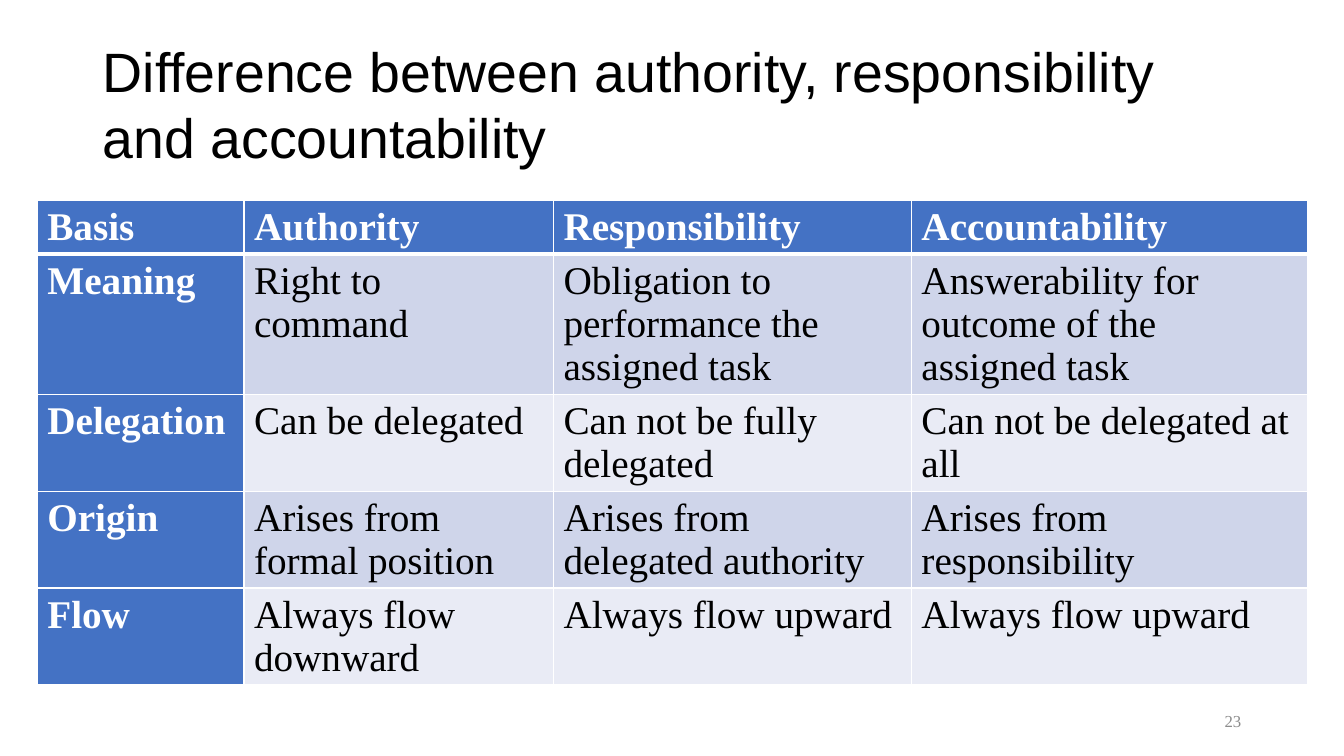
from lxml import etree
from pptx import Presentation
from pptx.dml.color import RGBColor
from pptx.enum.text import MSO_ANCHOR, MSO_AUTO_SIZE, PP_ALIGN
from pptx.oxml.ns import qn
from pptx.util import Inches, Pt

COLORS = {
    "header": "4472C4",
    "odd": "CFD5EA",
    "even": "E9EBF5",
    "white": "FFFFFF",
    "black": "000000",
    "grey": "8C8C8C",
}
ROWS = [
    ["Basis", "Authority", "Responsibility", "Accountability"],
    ["Meaning", "Right to command", "Obligation to performance the assigned task",
     "Answerability for outcome of the assigned task"],
    ["Delegation", "Can be delegated", "Can not be fully delegated",
     "Can not be delegated at all"],
    ["Origin", "Arises from formal position", "Arises from delegated authority",
     "Arises from responsibility"],
    ["Flow", "Always flow downward", "Always flow upward", "Always flow upward"],
]
COLUMN_WIDTHS = [2.05, 3.07, 3.55, 3.93]
ROW_HEIGHTS = [0.53, 1.39, 0.96, 0.96, 0.96]


def write_text(frame, text, color, **font_values):
    paragraph = frame.paragraphs[0]
    run = paragraph.add_run()
    run.text = text
    run.font.color.rgb = RGBColor.from_string(COLORS[color])
    for name, value in font_values.items():
        setattr(run.font, name, value)
    return paragraph


def add_border(cell, side, points):
    line = etree.SubElement(cell._tc.get_or_add_tcPr(), qn(f"a:{side}"), w=str(Pt(points)))
    fill = etree.SubElement(line, qn("a:solidFill"))
    etree.SubElement(fill, qn("a:srgbClr"), val=COLORS["white"])


presentation = Presentation()
presentation.slide_width = Inches(13.33)
presentation.slide_height = Inches(7.5)
slide = presentation.slides.add_slide(presentation.slide_layouts[5])

# Title
title = slide.shapes.title
title.left, title.top = Inches(0.92), Inches(0.3)
title.width, title.height = Inches(11.5), Inches(1.45)
title_frame = title.text_frame
title_frame.auto_size = MSO_AUTO_SIZE.NONE
title_frame.word_wrap = True
title_frame.vertical_anchor = MSO_ANCHOR.MIDDLE
paragraph = write_text(
    title_frame, "Difference between authority, responsibility and accountability",
    "black", name="Arial", size=Pt(39.6))
paragraph.alignment = PP_ALIGN.LEFT

# Comparison table
table = slide.shapes.add_table(
    len(ROWS), len(COLUMN_WIDTHS), Inches(0.37), Inches(1.99),
    Inches(sum(COLUMN_WIDTHS)), Inches(sum(ROW_HEIGHTS))).table
table.first_col = True
for column, width in zip(table.columns, COLUMN_WIDTHS):
    column.width = Inches(width)
for row, height in zip(table.rows, ROW_HEIGHTS):
    row.height = Inches(height)

for row_index, texts in enumerate(ROWS):
    for column_index, text in enumerate(texts):
        cell = table.cell(row_index, column_index)
        is_header = row_index == 0 or column_index == 0
        band = "odd" if row_index % 2 else "even"
        write_text(cell.text_frame, text, "white" if is_header else "black",
                   name="Times New Roman", size=Pt(28), bold=is_header)
        # Borders come before the fill in the cell properties
        for side in ("lnL", "lnR", "lnT", "lnB"):
            below_header = (row_index, side) in ((0, "lnB"), (1, "lnT"))
            add_border(cell, side, 3 if below_header else 1)
        cell.fill.solid()
        cell.fill.fore_color.rgb = RGBColor.from_string(
            COLORS["header" if is_header else band])

# Slide number
number_box = slide.shapes.add_textbox(Inches(8.83), Inches(6.95), Inches(3.58), Inches(0.4))
number_frame = number_box.text_frame
number_frame.word_wrap = True
number_frame.vertical_anchor = MSO_ANCHOR.MIDDLE
paragraph = write_text(number_frame, "23", "grey", name="Times New Roman", size=Pt(12))
paragraph.alignment = PP_ALIGN.RIGHT

presentation.save("out.pptx")
